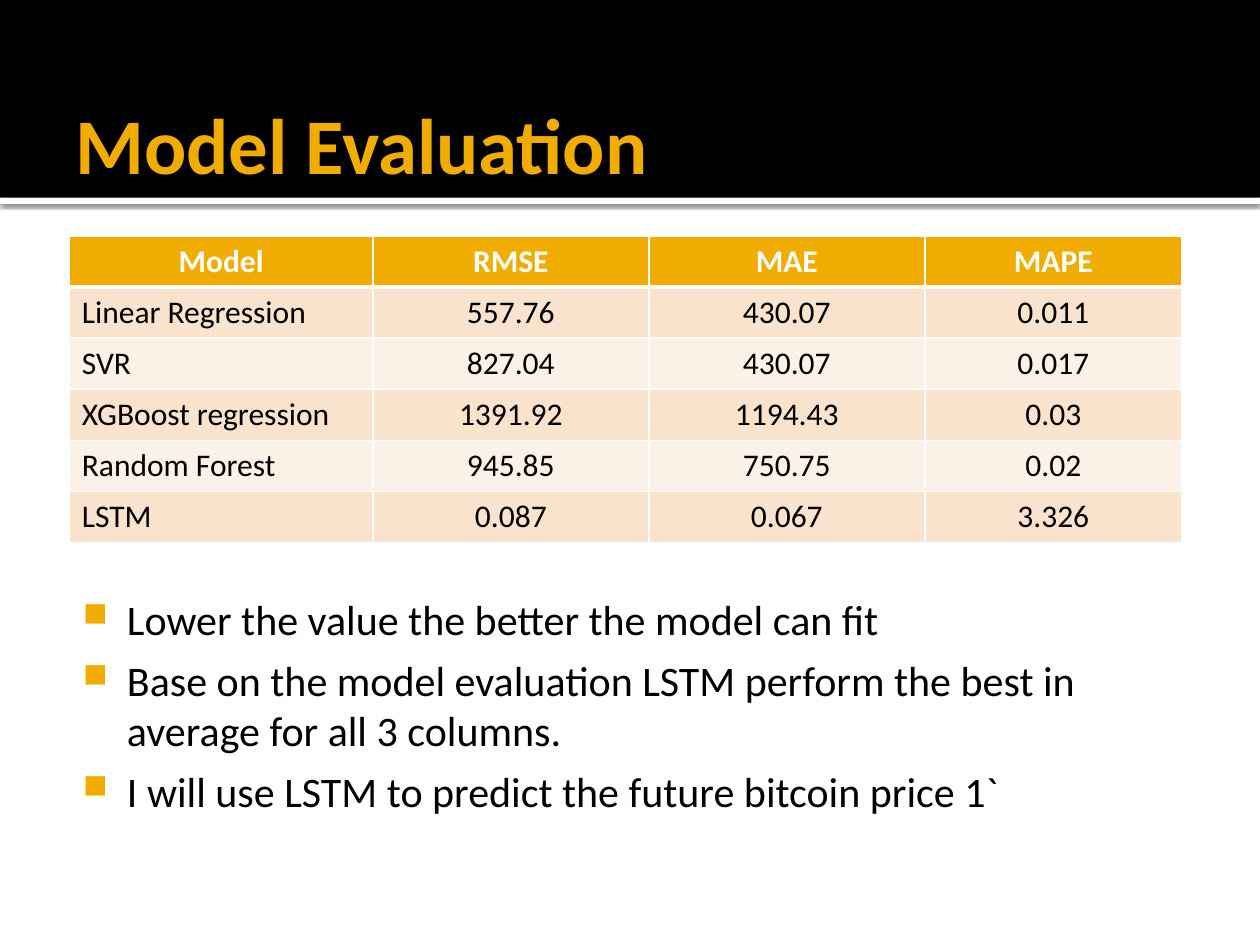
from lxml.etree import SubElement
from pptx import Presentation
from pptx.dml.color import RGBColor
from pptx.enum.shapes import MSO_SHAPE
from pptx.enum.text import MSO_ANCHOR, MSO_AUTO_SIZE, PP_ALIGN
from pptx.oxml.ns import qn
from pptx.util import Pt

AMBER, BLACK, WHITE = "F0AD00", "000000", "FFFFFF"
ROW_FILLS = ("FCF1E7", "F9E3CC")

EVALUATION = [
    ("Model", "RMSE", "MAE", "MAPE"),
    ("Linear Regression", "557.76", "430.07", "0.011"),
    ("SVR", "827.04", "430.07", "0.017"),
    ("XGBoost regression", "1391.92", "1194.43", "0.03"),
    ("Random Forest", "945.85", "750.75", "0.02"),
    ("LSTM", "0.087", "0.067", "3.326"),
]
COLUMN_WIDTHS = (173.5, 157.7, 157.7, 146.9)
ROW_HEIGHT = 29.2

FINDINGS = [
    "Lower the value the better the model can fit",
    "Base on the model evaluation LSTM perform the best in average for all 3 columns.",
    "I will use LSTM to predict the future bitcoin price 1`",
]


def color(value):
    return RGBColor.from_string(value)


def add_element(parent, tag, **attributes):
    element = SubElement(parent, qn(tag))
    for key, value in attributes.items():
        element.set(key, str(value))
    return element


def write(paragraph, text, size=18, fill=BLACK, bold=False, align=PP_ALIGN.LEFT):
    paragraph.alignment = align
    run = paragraph.add_run()
    run.text = text
    run.font.name = "Calibri"
    run.font.size = Pt(size)
    run.font.bold = bold
    run.font.color.rgb = color(fill)


def set_margins(frame, left, top, right, bottom):
    frame.margin_left, frame.margin_top = Pt(left), Pt(top)
    frame.margin_right, frame.margin_bottom = Pt(right), Pt(bottom)


def place(shape, left, top, width, height):
    shape.left, shape.top = Pt(left), Pt(top)
    shape.width, shape.height = Pt(width), Pt(height)


def add_band(slide, top, height, fill):
    band = slide.shapes.add_shape(MSO_SHAPE.RECTANGLE, 0, Pt(top), Pt(720), Pt(height))
    band.fill.solid()
    band.fill.fore_color.rgb = color(fill)
    band.line.fill.background()
    band.shadow.inherit = False
    slide.shapes.title.element.addprevious(band.element)
    return band


def add_shadow(band):
    effects = band.element.spPr.find(qn("a:effectLst"))
    shadow = add_element(effects, "a:outerShdw", blurRad=Pt(2.5), dist=Pt(0.8),
                         dir=90 * 60000, algn="tl", rotWithShape=0)
    tint = add_element(shadow, "a:srgbClr", val=BLACK)
    add_element(tint, "a:alpha", val=60000)


def set_title(slide, text):
    title = slide.shapes.title
    place(title, 36, 39.6, 648, 84.2)
    frame = title.text_frame
    frame.auto_size = MSO_AUTO_SIZE.NONE
    frame.vertical_anchor = MSO_ANCHOR.MIDDLE
    set_margins(frame, 7.2, 3.6, 3.6, 3.6)
    write(frame.paragraphs[0], text, size=45, fill=AMBER, bold=True)


def add_bullet(paragraph):
    paragraph.space_after = Pt(6)
    properties = paragraph._p.get_or_add_pPr()
    properties.set("marL", str(Pt(34.5)))
    properties.set("indent", str(Pt(-25.2)))
    add_element(add_element(properties, "a:buClr"), "a:srgbClr", val=AMBER)
    add_element(properties, "a:buSzPct", val=80000)
    add_element(properties, "a:buChar", char="■")


def add_findings(slide, findings):
    body = slide.shapes.add_textbox(Pt(33.8), Pt(331.9), Pt(648), Pt(146.2))
    frame = body.text_frame
    frame.word_wrap = True
    set_margins(frame, 4.3, 7.2, 7.2, 3.6)
    for index, finding in enumerate(findings):
        paragraph = frame.add_paragraph() if index else frame.paragraphs[0]
        write(paragraph, finding, size=24)
        add_bullet(paragraph)


def set_borders(cell, **widths):
    properties = cell._tc.get_or_add_tcPr()
    for side, width in widths.items():
        border = add_element(properties, f"a:ln{side}", w=Pt(width))
        add_element(add_element(border, "a:solidFill"), "a:srgbClr", val=WHITE)


def format_cell(cell, text, row, column):
    header = row == 0
    set_borders(cell, L=1, R=1, T=3 if row == 1 else 1, B=3 if header else 1)
    cell.fill.solid()
    cell.fill.fore_color.rgb = color(AMBER if header else ROW_FILLS[row % 2])
    write(cell.text_frame.paragraphs[0], text, bold=header,
          fill=WHITE if header else BLACK,
          align=PP_ALIGN.CENTER if header or column else PP_ALIGN.LEFT)


def add_evaluation(slide, records):
    table = slide.shapes.add_table(
        len(records), len(COLUMN_WIDTHS), Pt(39.6), Pt(134.8),
        Pt(sum(COLUMN_WIDTHS)), Pt(ROW_HEIGHT * len(records))).table
    for column, width in zip(table.columns, COLUMN_WIDTHS):
        column.width = Pt(width)
    for row, record in enumerate(records):
        table.rows[row].height = Pt(ROW_HEIGHT)
        for column, text in enumerate(record):
            format_cell(table.cell(row, column), text, row, column)


def main():
    deck = Presentation()
    deck.slide_width, deck.slide_height = Pt(720), Pt(540)
    slide = deck.slides.add_slide(deck.slide_layouts[5])
    slide.background.fill.solid()
    slide.background.fill.fore_color.rgb = color(WHITE)
    add_shadow(add_band(slide, 113, 3.6, WHITE))
    add_band(slide, 0, 113, BLACK)
    set_title(slide, "Model Evaluation")
    add_findings(slide, FINDINGS)
    add_evaluation(slide, EVALUATION)
    deck.save("out.pptx")


if __name__ == "__main__":
    main()
